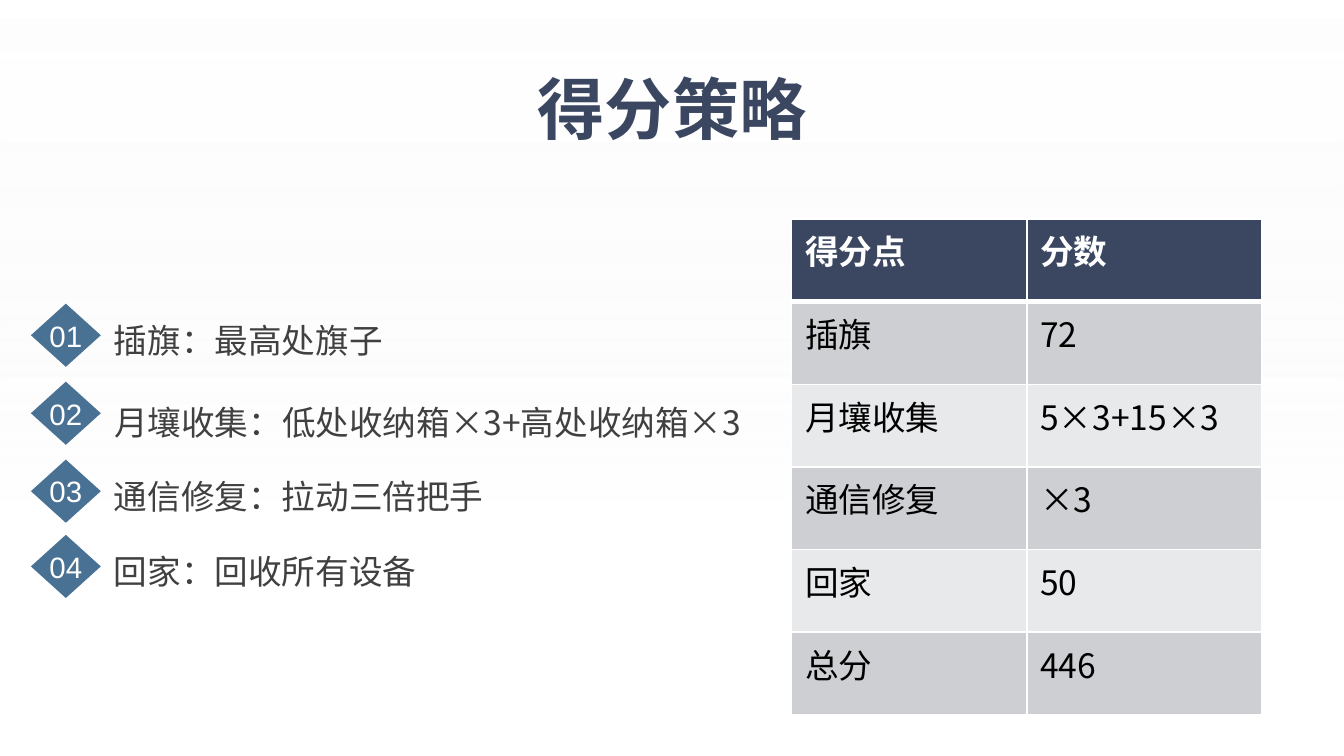
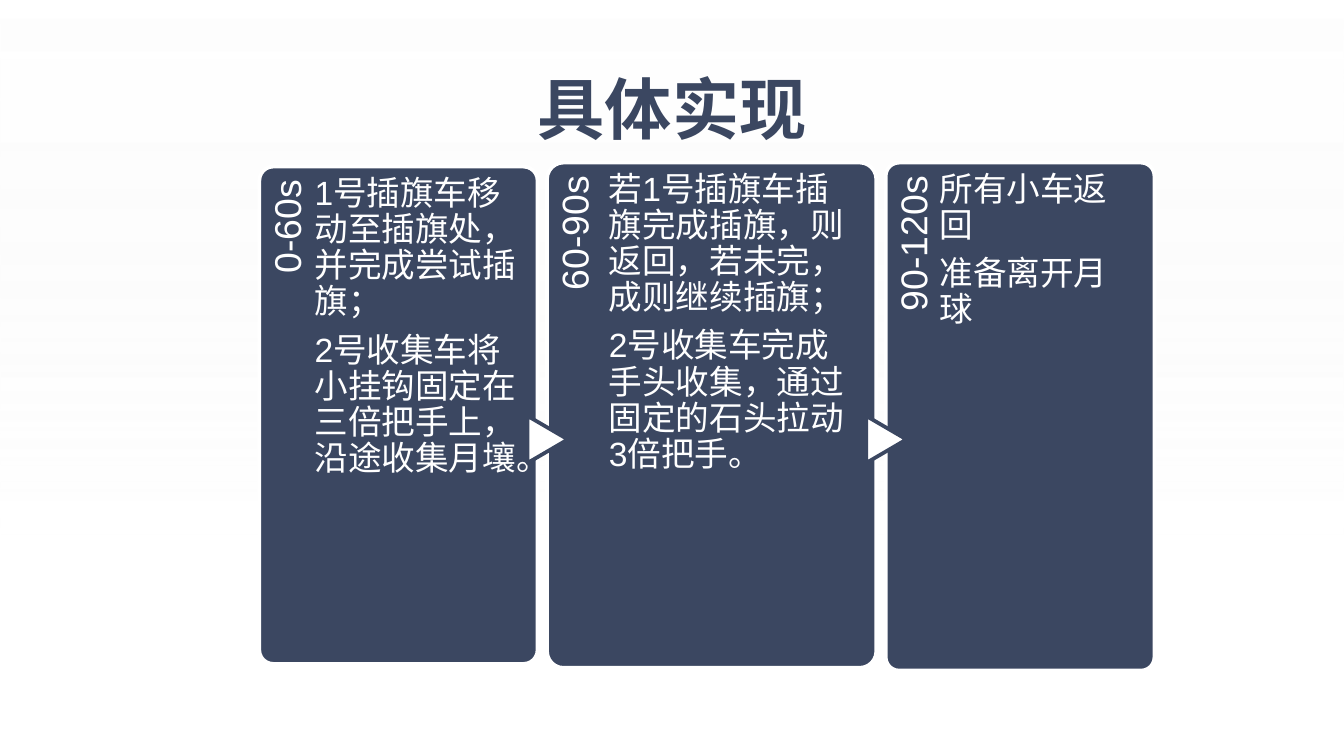
from dataclasses import dataclass

import pptx
import pptx.dml.color
import pptx.enum.shapes
import pptx.enum.text
import pptx.oxml
import pptx.oxml.ns
import pptx.util
from lxml import etree

Inches = pptx.util.Inches
Shape = pptx.enum.shapes.MSO_SHAPE
Align = pptx.enum.text.PP_ALIGN
Anchor = pptx.enum.text.MSO_ANCHOR
AutoSize = pptx.enum.text.MSO_AUTO_SIZE
qn = pptx.oxml.ns.qn

WIDTH = 10
HEIGHT = WIDTH * 9 / 16


@dataclass(frozen=True)
class Theme:
    navy: str = "3B4761"
    blue: str = "497193"
    white: str = "FFFFFF"
    mist: str = "F2F2F2"
    text: str = "404040"
    black: str = "000000"
    bands: tuple[str, str] = ("CECFD2", "E8E9EA")
    title_font: str = "Noto Sans CJK JP"
    table_font: str = "Noto Sans CJK SC"
    card_font: str = "Arial"
    title_size: float = 36
    label_size: float = 20
    body_size: float = 18
    number_size: float = 15.8


THEME = Theme()


@dataclass(frozen=True)
class Step:
    text: str
    text_top: float
    diamond_top: float
    width: float = 3.94


@dataclass(frozen=True)
class Card:
    label: str
    paragraphs: tuple[str, ...]
    left: float
    top: float
    width: float
    height: float
    text_indent: float
    font: str = THEME.card_font


STEPS = (
    Step("插旗：最高处旗子", 2.18, 2.26),
    Step("月壤收集：低处收纳箱×3+高处收纳箱×3", 2.79, 2.84, 5.55),
    Step("通信修复：拉动三倍把手", 3.34, 3.42),
    Step("回家：回收所有设备", 3.9, 3.98),
)

SCORES = (
    ("得分点", "分数"),
    ("插旗", "72"),
    ("月壤收集", "5×3+15×3"),
    ("通信修复", "×3"),
    ("回家", "50"),
    ("总分", "446"),
)

CARDS = (
    Card("0-60s", ("1号插旗车移动至插旗处，并完成尝试插旗；",
                   "2号收集车将小挂钩固定在三倍把手上，沿途收集月壤。"),
         1.93, 1.24, 2.07, 3.7, 0.41),
    Card("60-90s", ("若1号插旗车插旗完成插旗，则返回，若未完，成则继续插旗；",
                    "2号收集车完成手头收集，通过固定的石头拉动3倍把手。"),
         4.07, 1.21, 2.45, 3.76, 0.46),
    Card("90-120s", ("所有小车返回", "准备离开月球"),
         6.59, 1.21, 2, 3.78, 0.4, THEME.table_font),
)


def rgb(color: str) -> pptx.dml.color.RGBColor:
    return pptx.dml.color.RGBColor.from_string(color)


def write(frame, *texts: str, font: str, size: float, color: str, bold: bool = False,
          align=Align.LEFT, anchor=Anchor.TOP, wrap: bool = True, auto_size=AutoSize.NONE,
          spacing: float | None = None, after: float = 0, insets=None) -> None:
    """Fill a text frame, one paragraph for each text."""
    frame.auto_size = auto_size
    frame.word_wrap = wrap
    frame.vertical_anchor = anchor
    if insets:
        (frame.margin_left, frame.margin_top,
         frame.margin_right, frame.margin_bottom) = map(Inches, insets)
    for index, text in enumerate(texts):
        paragraph = frame.add_paragraph() if index else frame.paragraphs[0]
        paragraph.alignment = align
        if spacing:
            paragraph.line_spacing = spacing
        if after:
            paragraph.space_after = pptx.util.Pt(after)
        run = paragraph.add_run()
        run.text = text
        run.font.name = font
        run.font.size = pptx.util.Pt(size)
        run.font.bold = bold
        run.font.color.rgb = rgb(color)
        east_asian = etree.Element(qn("a:ea"), typeface=font)
        run.font._element.find(qn("a:latin")).addnext(east_asian)


def add_box(shapes, kind, left: float, top: float, width: float, height: float,
            fill: str, line: str | None = None):
    shape = shapes.add_shape(kind, Inches(left), Inches(top), Inches(width), Inches(height))
    shape.shadow.inherit = False
    shape.fill.solid()
    shape.fill.fore_color.rgb = rgb(fill)
    if line:
        shape.line.color.rgb = rgb(line)
        shape.line.width = pptx.util.Pt(2)
    else:
        shape.line.fill.background()
    return shape


def add_text(shapes, left: float, top: float, width: float, height: float, *texts: str, **style):
    shape = shapes.add_textbox(Inches(left), Inches(top), Inches(width), Inches(height))
    write(shape.text_frame, *texts, **style)
    return shape


def add_master_backdrop(presentation, slide) -> None:
    """Put a fading gradient on the master, behind everything."""
    shape = add_box(slide.shapes, Shape.RECTANGLE, 0, 0, WIDTH, HEIGHT, THEME.white)
    shape.fill.gradient()
    shape.fill.gradient_angle = 270
    stops = ((0, THEME.white, 55), (0.71, THEME.mist, 0))
    for stop, (position, color, _) in zip(shape.fill.gradient_stops, stops):
        stop.position = position
        stop.color.rgb = rgb(color)
    for node, (_, _, opacity) in zip(shape.element.iter(qn("a:srgbClr")), stops):
        etree.SubElement(node, qn("a:alpha")).set("val", str(opacity * 1000))
    shape.element.nvSpPr.cNvPr.set("id", "100")
    presentation.slide_master.element.cSld.spTree.insert(2, shape.element)


def add_titled_slide(presentation, title: str):
    slide = presentation.slides.add_slide(presentation.slide_layouts[5])
    shape = slide.shapes.title
    shape.left, shape.top, shape.width, shape.height = map(Inches, (3.87, 0.45, 2.26, 0.92))
    write(shape.text_frame, title, font=THEME.title_font, size=THEME.title_size,
          color=THEME.navy, bold=True, align=Align.CENTER, wrap=False)
    return slide


def set_borders(cell, top: float, bottom: float) -> None:
    """White cell borders; line widths in points."""
    properties = cell._tc.get_or_add_tcPr()
    for index, (side, width) in enumerate((("L", 1), ("R", 1), ("T", top), ("B", bottom))):
        line = etree.Element(qn(f"a:ln{side}"), w=str(pptx.util.Pt(width)))
        fill = etree.SubElement(line, qn("a:solidFill"))
        etree.SubElement(fill, qn("a:srgbClr")).set("val", THEME.white)
        properties.insert(index, line)


def add_score_table(slide) -> None:
    table = slide.shapes.add_table(len(SCORES), 2, Inches(5.89), Inches(1.63),
                                   Inches(3.5), Inches(3.69)).table
    for row, values in enumerate(SCORES):
        header = row == 0
        for column, value in enumerate(values):
            cell = table.cell(row, column)
            cell.fill.solid()
            cell.fill.fore_color.rgb = rgb(THEME.navy if header else THEME.bands[(row - 1) % 2])
            set_borders(cell, top=3 if row == 1 else 1, bottom=3 if header else 1)
            write(cell.text_frame, value, font=THEME.table_font, size=THEME.body_size,
                  color=THEME.white if header else THEME.black, bold=header)


def add_step(slide, number: int, step: Step) -> None:
    add_text(slide.shapes, 0.75, step.text_top, step.width, 0.55, step.text,
             font=THEME.title_font, size=THEME.body_size, color=THEME.text,
             spacing=1.5, auto_size=AutoSize.SHAPE_TO_FIT_TEXT)
    diamond = add_box(slide.shapes, Shape.DIAMOND, 0.23, step.diamond_top, 0.52, 0.47, THEME.blue)
    write(diamond.text_frame, f"{number:02}", font=THEME.card_font, size=THEME.number_size,
          color=THEME.white, align=Align.CENTER, anchor=Anchor.MIDDLE, wrap=False,
          insets=(0, 0, 0, 0))


def add_card(shapes, card: Card, with_arrow: bool) -> None:
    box = add_box(shapes, Shape.ROUNDED_RECTANGLE, card.left, card.top, card.width, card.height,
                  THEME.navy, THEME.white)
    box.adjustments[0] = 0.05
    style = dict(color=THEME.white, spacing=0.9)

    # Time label, turned to read upwards along the left edge
    length, thickness = 0.82 * card.height, 0.2 * card.width
    label = add_text(shapes, card.left + (thickness - length) / 2,
                     card.top + (length - thickness) / 2, length, thickness, card.label,
                     font=THEME.card_font, size=THEME.label_size, align=Align.RIGHT,
                     insets=(0, 0.07, 0.1, 0), **style)
    label.rotation = 270

    # Arrow over the gap to the card before
    if with_arrow:
        arrow = add_box(shapes, Shape.FLOWCHART_EXTRACT, card.left - 0.17, 3.12, 0.35, 0.3,
                        THEME.white, THEME.navy)
        arrow.rotation = 90

    add_text(shapes, card.left + card.text_indent, card.top, 0.745 * card.width, card.height,
             *card.paragraphs, font=card.font, size=THEME.body_size, after=6.3,
             insets=(0, 0.07, 0, 0), **style)


def main() -> None:
    presentation = pptx.Presentation()
    presentation.slide_width, presentation.slide_height = Inches(WIDTH), Inches(HEIGHT)

    # Scoring strategy
    slide = add_titled_slide(presentation, "得分策略")
    add_master_backdrop(presentation, slide)
    add_score_table(slide)
    for number, step in enumerate(STEPS, start=1):
        add_step(slide, number, step)

    # Timeline of the run
    slide = add_titled_slide(presentation, "具体实现")
    timeline = slide.shapes.add_group_shape()
    for index, card in enumerate(CARDS):
        add_card(timeline.shapes, card, with_arrow=index > 0)

    presentation.save("out.pptx")


if __name__ == "__main__":
    main()
